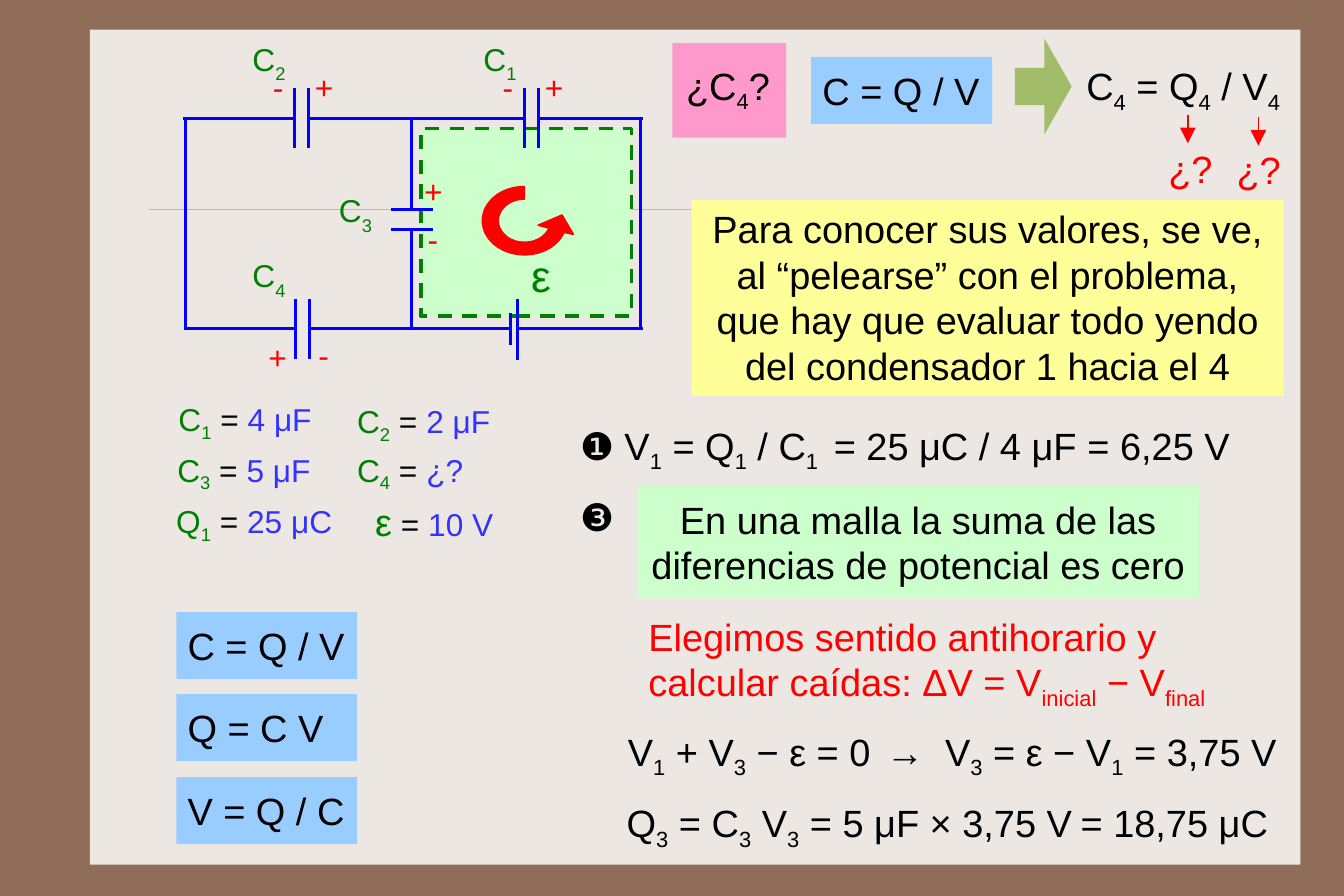
import math
from dataclasses import dataclass
from typing import NamedTuple, Optional

from lxml import etree
from pptx import Presentation
from pptx.dml.color import RGBColor
from pptx.enum.dml import MSO_LINE
from pptx.enum.shapes import MSO_CONNECTOR, MSO_SHAPE
from pptx.enum.text import MSO_ANCHOR, MSO_AUTO_SIZE, PP_ALIGN
from pptx.oxml.ns import qn
from pptx.util import Inches, Pt

RECT, RIGHT_ARROW = MSO_SHAPE.RECTANGLE, MSO_SHAPE.RIGHT_ARROW
STRAIGHT, DASH = MSO_CONNECTOR.STRAIGHT, MSO_LINE.DASH
TOP, MIDDLE = MSO_ANCHOR.TOP, MSO_ANCHOR.MIDDLE
LEFT, CENTER = PP_ALIGN.LEFT, PP_ALIGN.CENTER
FIT = MSO_AUTO_SIZE.SHAPE_TO_FIT_TEXT

BROWN = RGBColor(0x90, 0x6D, 0x58)
PAPER = RGBColor(0xED, 0xE7, 0xE3)
SAND = RGBColor(0xCB, 0xBD, 0x83)
BLACK = RGBColor(0x00, 0x00, 0x00)
RED = RGBColor(0xFF, 0x00, 0x00)
GREEN = RGBColor(0x00, 0x80, 0x00)
BLUE = RGBColor(0x00, 0x00, 0xFF)
VALUE_BLUE = RGBColor(0x33, 0x33, 0xFF)
SKY = RGBColor(0x99, 0xCC, 0xFF)
MINT = RGBColor(0xCC, 0xFF, 0xCC)
PINK = RGBColor(0xFF, 0x99, 0xCC)
YELLOW = RGBColor(0xFF, 0xFF, 0x99)
OLIVE = RGBColor(0xA1, 0xBD, 0x69)

SNUG = (0.1, 0.05, 0.1, 0.05)
ROOMY = (0.1, 0.09, 0.1, 0.09)
UNITS = 1000  # freeform units per inch


class Box(NamedTuple):
    x: float
    y: float
    w: float
    h: float


class Segment(NamedTuple):
    x1: float
    y1: float
    x2: float
    y2: float


@dataclass
class Capacitor:
    x: float
    y: float
    name: str
    name_at: tuple[float, float]
    plus_at: tuple[float, float]
    minus_at: tuple[float, float]
    gap: float = 0.12
    plate: float = 0.53
    upright: bool = True

    def plates(self) -> list[Segment]:
        g, n = self.gap / 2, self.plate / 2
        if self.upright:
            return [Segment(self.x + d, self.y - n, self.x + d, self.y + n) for d in (-g, g)]
        return [Segment(self.x - n, self.y + d, self.x + n, self.y + d) for d in (-g, g)]


@dataclass
class Datum:
    x: float
    y: float
    w: float
    name: str
    value: str
    size: int = 20


def add_runs(p, text: str, size: int, color: RGBColor, sub: int = -25) -> None:
    """Text between bars is set as a subscript."""
    for i, part in enumerate(text.split("|")):
        if part:
            r = p.add_run()
            r.text = part
            r.font.name, r.font.size = "Arial", Pt(size)
            r.font.color.rgb = color
            if i % 2:
                r.font._element.set("baseline", str(sub * 1000))


def add_rect(s, box: Box, fill: RGBColor, kind=RECT):
    sp = s.shapes.add_shape(kind, *map(Inches, box))
    sp.shadow.inherit = False
    sp.fill.solid()
    sp.fill.fore_color.rgb = fill
    sp.line.fill.background()
    return sp


def add_label(s, box: Box, text: str, *, size: int = 24, color: RGBColor = BLACK,
              fill: Optional[RGBColor] = None, wrap: bool = False, align=LEFT,
              anchor=TOP, inset: tuple = ROOMY, sub: int = -25, fit: bool = True):
    sp = add_rect(s, box, fill) if fill else s.shapes.add_textbox(*map(Inches, box))
    tf = sp.text_frame
    tf.word_wrap, tf.vertical_anchor = wrap, anchor
    if fit:
        tf.auto_size = FIT
    tf.margin_left, tf.margin_top, tf.margin_right, tf.margin_bottom = map(Inches, inset)
    for i, line in enumerate(text.split("\n")):
        p = tf.add_paragraph() if i else tf.paragraphs[0]
        p.alignment = align
        add_runs(p, line, size, color, sub)
    return tf


def add_line(s, seg: Segment, color: RGBColor = BLUE, width: float = 2, arrow: bool = False) -> None:
    c = s.shapes.add_connector(STRAIGHT, *map(Inches, seg))
    c.line.color.rgb = color
    c.line.width = Pt(width)
    if arrow:
        etree.SubElement(c.line._get_or_add_ln(), qn("a:tailEnd"), type="triangle", w="lg", len="lg")
    etree.SubElement(c._element.spPr, qn("a:effectLst"))


def arc(rx: float, ry: float, start: int, stop: int, step: int) -> list[tuple[float, float]]:
    angles = [math.radians(a) for a in range(start, stop, step)]
    return [(4.61 + rx * math.cos(a), 1.94 + ry * math.sin(a)) for a in angles]


def add_loop_arrow(s) -> None:
    head = [(5.04, 2.06), (4.94, 1.89), (4.73, 1.98)]
    outline = arc(0.23, 0.19, 20, 271, 5) + arc(0.37, 0.3, 270, 19, -5) + head
    points = [(x * UNITS, y * UNITS) for x, y in outline]
    fb = s.shapes.build_freeform(*points[0], scale=Inches(1) / UNITS)
    fb.add_line_segments(points[1:], close=True)
    sp = fb.convert_to_shape()
    sp.shadow.inherit = False
    sp.fill.solid()
    sp.fill.fore_color.rgb = RED
    sp.line.color.rgb = RED
    sp.line.width = Pt(1)


CAPACITORS = [
    Capacitor(4.67, 1.04, "C|1|", (4.15, 0.3), (4.69, 0.51), (4.32, 0.51)),
    Capacitor(2.65, 1.04, "C|2|", (2.12, 0.3), (2.67, 0.51), (2.3, 0.51)),
    Capacitor(3.62, 1.93, "C|3|", (2.88, 1.63), (3.63, 1.42), (3.66, 1.84), 0.18, 0.37, False),
    Capacitor(2.66, 2.89, "C|4|", (2.12, 2.2), (2.26, 2.88), (2.7, 2.86)),
]
BATTERY = [Segment(4.49, 2.75, 4.49, 3.03), Segment(4.55, 2.63, 4.55, 3.16)]
WIRES = [
    Segment(1.61, 1.04, 2.58, 1.04), Segment(2.72, 1.04, 4.61, 1.04), Segment(4.73, 1.04, 5.65, 1.04),
    Segment(1.62, 2.89, 2.59, 2.89), Segment(2.73, 2.89, 4.49, 2.89), Segment(4.55, 2.89, 5.65, 2.89),
    Segment(1.63, 1.04, 1.63, 2.89), Segment(5.63, 1.04, 5.63, 2.89),
    Segment(3.62, 1.04, 3.62, 1.84), Segment(3.62, 2.02, 3.62, 2.89),
]
DATA = [
    Datum(1.47, 3.47, 1.39, "C|1|", "4 μF"), Datum(3.04, 3.48, 1.39, "C|2|", "2 μF"),
    Datum(1.46, 3.91, 1.39, "C|3|", "5 μF"), Datum(3.04, 3.91, 1.15, "C|4|", "¿?"),
    Datum(1.45, 4.36, 1.59, "Q|1|", "25 μC"), Datum(3.2, 4.33, 1.24, "ε", "10 V", 24),
]
EQUATIONS = [
    (Box(9.45, 0.46, 1.96, 0.59), "C|4| = Q|4| / V|4|"),
    (Box(5, 3.62, 2.36, 0.59), "❶ V|1| = Q|1| / C|1|"),
    (Box(7.23, 3.62, 2.35, 0.59), "= 25 μC / 4 μF"),
    (Box(9.46, 3.62, 1.46, 0.59), "= 6,25 V"),
    (Box(5, 4.25, 0.5, 0.59), "❸"),
    (Box(5.42, 6.31, 2.37, 0.59), "V|1| + V|3| − ε = 0"),
    (Box(7.69, 6.31, 2.31, 0.59), "→  V|3| = ε − V|1|"),
    (Box(9.87, 6.31, 1.55, 0.59), "= 3,75 V"),
    (Box(5.41, 6.94, 1.78, 0.59), "Q|3| = C|3| V|3|"),
    (Box(7.02, 6.94, 2.51, 0.59), "= 5 μF × 3,75 V"),
    (Box(9.4, 6.94, 1.86, 0.59), "= 18,75 μC"),
]
FORMULAS = [(7.13, 0.5, "C = Q / V"), (1.55, 5.38, "C = Q / V"),
            (1.55, 6.1, "Q = C V"), (1.55, 6.83, "V = Q / C")]
UNKNOWNS = [(10.44, 1.01, 10.17, 1.19), (11.06, 1.03, 10.77, 1.2)]


def main() -> None:
    prs = Presentation()
    prs.slide_width, prs.slide_height = Inches(189 / 16), Inches(63 / 8)
    s = prs.slides.add_slide(prs.slide_layouts[6])

    # Backdrop
    s.background.fill.solid()
    s.background.fill.fore_color.rgb = BROWN
    add_rect(s, Box(0.79, 0.26, 10.64, 7.34), PAPER)
    add_line(s, Segment(1.31, 1.84, 11.22, 1.84), SAND, 0.25)

    # Circuit
    mesh = add_rect(s, Box(3.7, 1.13, 1.85, 1.65), MINT)
    mesh.line.color.rgb, mesh.line.width, mesh.line.dash_style = GREEN, Pt(2.25), DASH
    for seg in WIRES + BATTERY:
        add_line(s, seg)
    for cap in CAPACITORS:
        for seg in cap.plates():
            add_line(s, seg)
        add_label(s, Box(*cap.name_at, 0.55, 0.51), cap.name, size=20, color=GREEN,
                  wrap=True, inset=SNUG, sub=-30, fit=False)
        add_label(s, Box(*cap.plus_at, 0.36, 0.52), "+", size=20, color=RED)
        add_label(s, Box(*cap.minus_at, 0.29, 0.52), "-", size=20, color=RED)
    add_label(s, Box(4.57, 2.22, 0.37, 0.4), "ε", size=28, color=GREEN,
              wrap=True, anchor=MIDDLE, inset=SNUG, fit=False)
    add_loop_arrow(s)

    # Known values
    for d in DATA:
        tf = add_label(s, Box(d.x, d.y, d.w, 0.44), d.name, size=d.size, color=GREEN, inset=SNUG)
        add_runs(tf.paragraphs[0], " = ", 20, BLACK)
        add_runs(tf.paragraphs[0], d.value, 20, VALUE_BLUE)

    # Question and formulas
    add_label(s, Box(5.91, 0.38, 1, 0.83), "¿C|4|?", fill=PINK, anchor=MIDDLE,
              inset=(0.12, 0.12, 0.12, 0.16))
    for x, y, text in FORMULAS:
        add_label(s, Box(x, y, 1.59, 0.59), text, fill=SKY, wrap=text == "Q = C V")
    arrow = add_rect(s, Box(8.92, 0.34, 0.5, 0.84), OLIVE, RIGHT_ARROW)
    arrow.adjustments[0], arrow.adjustments[1] = 0.39, 0.48
    for x, y, text_x, text_y in UNKNOWNS:
        add_line(s, Segment(x, y, x, y + 0.25), RED, 1, arrow=True)
        add_label(s, Box(text_x, text_y, 0.59, 0.59), "¿?", color=RED)

    # Reasoning
    add_label(s, Box(6.08, 1.76, 5.2, 1.72),
              "Para conocer sus valores, se ve,\nal “pelearse” con el problema, que hay "
              "que evaluar todo yendo del condensador 1 hacia el 4",
              fill=YELLOW, wrap=True, align=CENTER, inset=SNUG)
    add_label(s, Box(5.6, 4.27, 4.94, 0.99),
              "En una malla la suma de las diferencias de potencial es cero",
              fill=MINT, wrap=True, align=CENTER)
    add_label(s, Box(5.6, 5.3, 5.62, 0.99),
              "Elegimos sentido antihorario y calcular caídas: ΔV = V|inicial| − V|final|",
              color=RED, wrap=True)
    for box, text in EQUATIONS:
        add_label(s, box, text)

    prs.save("out.pptx")


if __name__ == "__main__":
    main()
